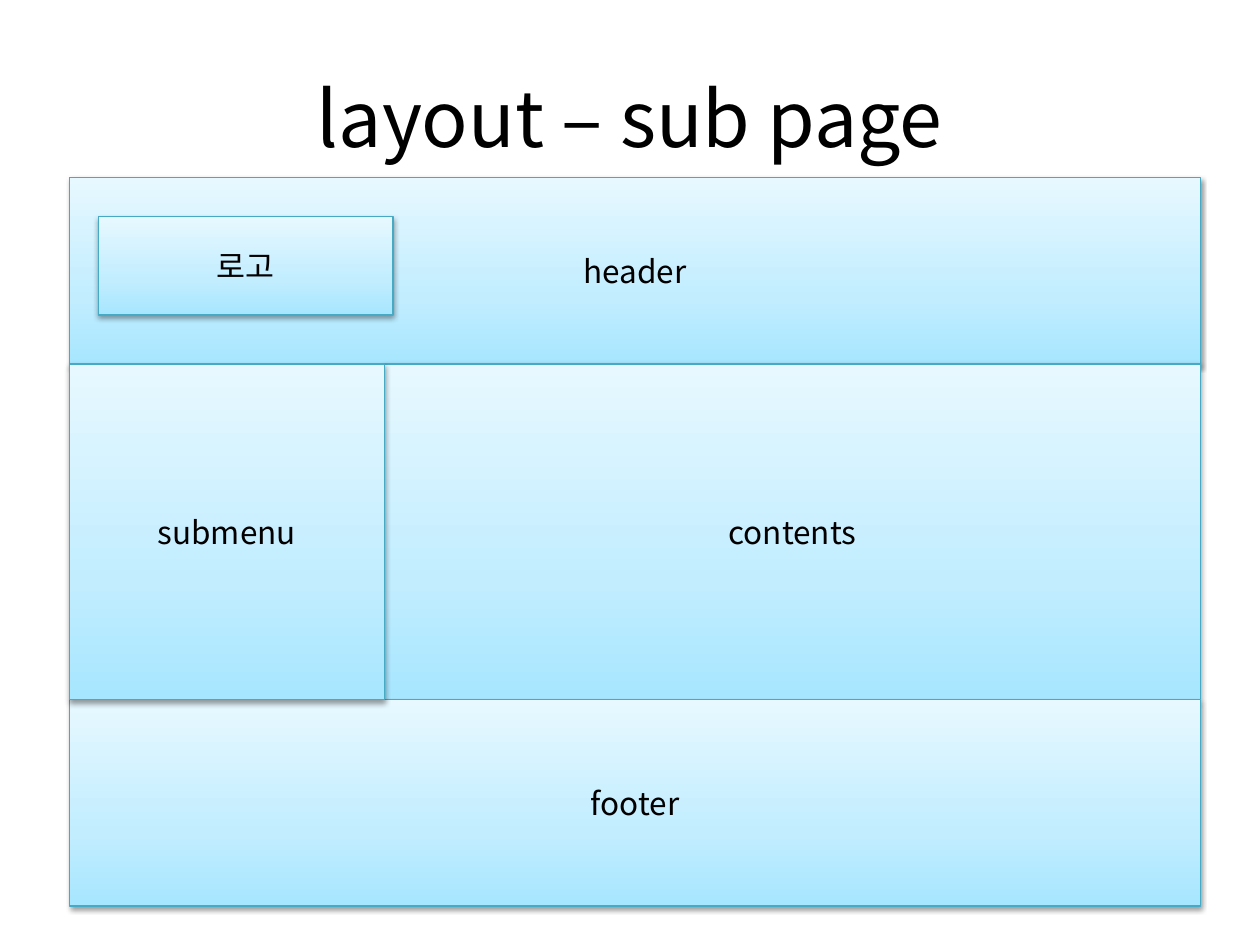
"""Build a slide with the block layout of a web sub page."""
from dataclasses import dataclass

from pptx import Presentation
from pptx import oxml as ox
from pptx import util as u
from pptx.dml import color
from pptx.enum import shapes, text
from pptx.oxml import ns

PX = 9144
FONT = "Noto Sans CJK KR"
COLORS = {
    "text": "000000",
    "line": "46AAC5",
    "bottom": "A7E6FF",
    "middle": "C1EDFF",
    "top": "E7F8FF",
    "shadow": "000000",
}
STOPS = {0: "bottom", 35: "middle", 100: "top"}
FRAME = {
    "word_wrap": True,
    "auto_size": text.MSO_AUTO_SIZE.NONE,
    "vertical_anchor": text.MSO_ANCHOR.MIDDLE,
}

LEFT, RIGHT = 55, 953
SPLIT = 305
HEADER_TOP, BODY_TOP, FOOTER_TOP, BOTTOM = 141, 289, 555, 719


@dataclass(frozen=True)
class Block:
    """A labelled rectangle given by its edges in px."""
    label: str
    left: int
    top: int
    right: int
    bottom: int


BLOCKS = [
    Block("header", LEFT, HEADER_TOP, RIGHT, BODY_TOP),
    Block("contents", SPLIT, BODY_TOP, RIGHT, FOOTER_TOP),
    Block("footer", LEFT, FOOTER_TOP, RIGHT, BOTTOM),
    Block("로고", 78, 172, 312, 250),
    Block("submenu", LEFT, BODY_TOP, SPLIT, FOOTER_TOP),
]


def rgb(name: str) -> color.RGBColor:
    """Return a named colour."""
    return color.RGBColor.from_string(COLORS[name])


def write(sp, label: str, size: int) -> None:
    """Put one centred line of text in a shape."""
    tf = sp.text_frame
    for key, value in FRAME.items():
        setattr(tf, key, value)
    p = tf.paragraphs[0]
    p.alignment = text.PP_ALIGN.CENTER
    r = p.add_run()
    r.text = label
    for key, value in {"name": FONT, "size": u.Pt(size)}.items():
        setattr(r.font, key, value)
    r.font.color.rgb = rgb("text")
    ea = ox.parse_xml(f'<a:ea {ns.nsdecls("a")} typeface="{FONT}"/>')
    r.font._element.find(ns.qn("a:latin")).addnext(ea)


def paint(sp) -> None:
    """Give a shape its gradient, outline and shadow."""
    stops = "".join(
        f'<a:gs pos="{pos * 1000}"><a:srgbClr val="{COLORS[name]}"/></a:gs>'
        for pos, name in STOPS.items()
    )
    gradient = ox.parse_xml(
        f'<a:gradFill {ns.nsdecls("a")} rotWithShape="1"><a:gsLst>{stops}</a:gsLst>'
        '<a:lin ang="16200000" scaled="0"/></a:gradFill>'
    )
    shadow = ox.parse_xml(
        f'<a:effectLst {ns.nsdecls("a")}>'
        '<a:outerShdw blurRad="40000" dist="20000" dir="5400000" rotWithShape="0">'
        f'<a:srgbClr val="{COLORS["shadow"]}"><a:alpha val="38000"/></a:srgbClr>'
        "</a:outerShdw></a:effectLst>"
    )
    props = sp._element.spPr
    props.find(ns.qn("a:prstGeom")).addnext(gradient)
    sp.line.color.rgb = rgb("line")
    sp.line.width = u.Pt(0.75)
    props.append(shadow)


def add_block(s, b: Block) -> None:
    """Draw one block of the page layout."""
    box = (b.left, b.top, b.right - b.left, b.bottom - b.top)
    sp = s.shapes.add_shape(shapes.MSO_SHAPE.RECTANGLE, *(v * PX for v in box))
    paint(sp)
    write(sp, b.label, 18)


def add_title(s, label: str) -> None:
    """Place and fill the title placeholder."""
    title = s.shapes.title
    place = {"left": 50, "top": 30, "width": 900, "height": 125}
    for key, value in place.items():
        setattr(title, key, value * PX)
    write(title, label, 44)


def main() -> None:
    """Build and save the slide."""
    prs = Presentation()
    prs.slide_width, prs.slide_height = 1000 * PX, 750 * PX
    s = prs.slides.add_slide(prs.slide_layouts[5])
    add_title(s, "layout – sub page")
    for block in BLOCKS:
        add_block(s, block)
    prs.save("out.pptx")


if __name__ == "__main__":
    main()
